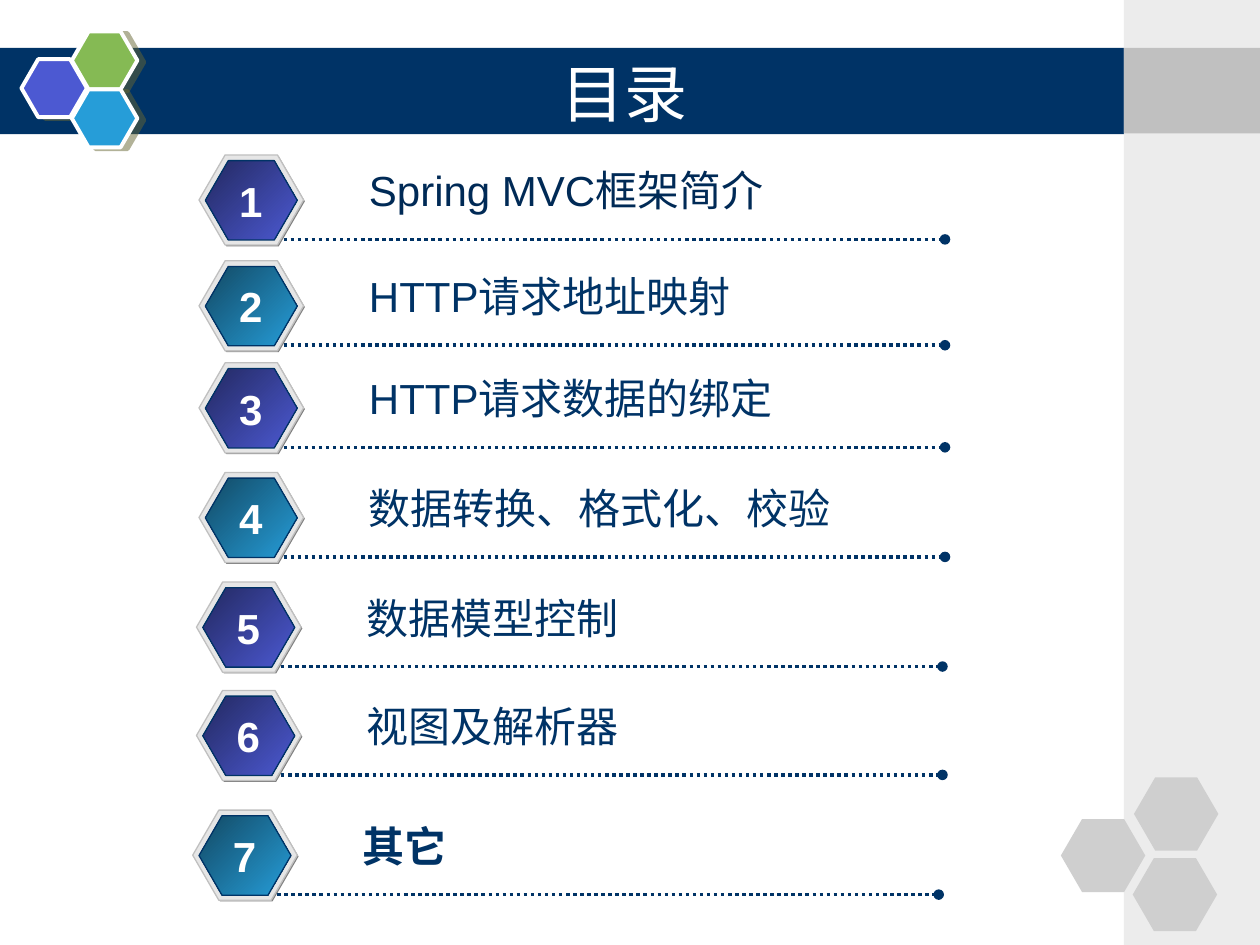
from collections import namedtuple

from lxml import etree
from pptx import Presentation
from pptx import util as u
from pptx.dml.color import RGBColor
from pptx.enum import dml, shapes, text
from pptx.oxml.ns import qn

COLORS = {
    "navy": "003366", "deep_navy": "002A56", "white": "FFFFFF",
    "violet": "4C59D2", "dark_violet": "232961",
    "blue": "269DD8", "dark_blue": "124964", "green": "85BA54",
    "olive": "666633", "panel": "ECECEC", "panel_band": "C0C0C0",
    "pale_hex": "CFCFCF", "rim": "E6E6E6", "rim_line": "C0C0C0",
    "rim_shade": "808080",
}
VIOLET = ("dark_violet", "violet")
BLUE = ("dark_blue", "blue")

# The slide is a grid of 100 columns by 75 rows of equal size
COLUMNS, ROWS = 100, 75
CELL = u.Inches(10) // COLUMNS

Box = namedtuple("Box", "left top width height")

# Column, row, wording, badge gradient, text colour, bold
ENTRIES = [
    (15.8, 12.3, "Spring MVC框架简介", VIOLET, "deep_navy", False),
    (15.8, 20.7, "HTTP请求地址映射", BLUE, "navy", False),
    (15.8, 28.8, "HTTP请求数据的绑定", VIOLET, "navy", False),
    (15.8, 37.5, "数据转换、格式化、校验", BLUE, "navy", False),
    (15.6, 46.2, "数据模型控制", VIOLET, "navy", False),
    (15.6, 54.8, "视图及解析器", VIOLET, "navy", False),
    (15.3, 64.3, "其它", BLUE, "navy", True),
]


def rgb(name):
    return RGBColor.from_string(COLORS[name])


def grid(*cells):
    return [u.Emu(round(cell * CELL)) for cell in cells]


def inside(box, left, top, width, height):
    return Box(box.left + left, box.top + top, width, height)


def add_block(slide, kind, box, fill, line=None, weight=0.75):
    block = slide.shapes.add_shape(kind, *grid(*box))
    block.shadow.inherit = False
    if isinstance(fill, tuple):
        block.fill.gradient()
        block.fill.gradient_angle = 315
        for stop, name in zip(block.fill.gradient_stops, fill):
            stop.color.rgb = rgb(name)
    else:
        block.fill.solid()
        block.fill.fore_color.rgb = rgb(fill)
    if line:
        block.line.color.rgb = rgb(line)
        block.line.width = u.Pt(weight)
    else:
        block.line.fill.background()
    return block


def add_hexagon(slide, box, fill, line=None, weight=0.75):
    hexagon = add_block(slide, shapes.MSO_SHAPE.HEXAGON, box, fill, line, weight)
    hexagon.adjustments[0] = 0.29
    hexagon.adjustments[1] = 1.155
    return hexagon


def add_label(slide, box, wording, color, size=24, font="Arial", bold=False,
              centred=False, wrap=True):
    frame = slide.shapes.add_textbox(*grid(*box)).text_frame
    frame.word_wrap = wrap
    frame.vertical_anchor = (text.MSO_ANCHOR.MIDDLE if centred
                             else text.MSO_ANCHOR.TOP)
    paragraph = frame.paragraphs[0]
    paragraph.text = wording
    paragraph.alignment = text.PP_ALIGN.CENTER if centred else text.PP_ALIGN.LEFT
    paragraph.font.name = font
    paragraph.font.size = u.Pt(size)
    paragraph.font.bold = bold
    paragraph.font.color.rgb = rgb(color)


def add_hard_shadow(shape):
    effects = shape._element.spPr.find(qn("a:effectLst"))
    shadow = etree.SubElement(effects, qn("a:outerShdw"), dist=str(u.Pt(4.1)),
                              dir=str(14 * 60000), algn="ctr", rotWithShape="0")
    color = etree.SubElement(shadow, qn("a:srgbClr"), val=COLORS["olive"])
    etree.SubElement(color, qn("a:alpha"), val="50000")


def add_title_band(slide, box):
    # Band with a slightly slanted right end
    right, bottom = box.left + box.width, box.top + box.height
    outline = slide.shapes.build_freeform(*grid(box.left, box.top))
    outline.add_line_segments([grid(right, box.top), grid(right - 0.1, bottom),
                               grid(box.left, bottom)])
    band = outline.convert_to_shape()
    band.shadow.inherit = False
    band.fill.solid()
    band.fill.fore_color.rgb = rgb("navy")
    band.line.fill.background()


def add_emblem(slide, box):
    for left, top, color in [(0, 2.2, "violet"), (4, 0, "green"), (4, 4.6, "blue")]:
        hexagon = add_hexagon(slide, inside(box, left, top, 5.2, 4.6),
                              color, "white", 2.25)
        add_hard_shadow(hexagon)


def add_side_panel(slide, box):
    rectangle = shapes.MSO_SHAPE.RECTANGLE
    add_block(slide, rectangle, box, "panel")
    add_block(slide, rectangle, inside(box, 0, 3.8, box.width, 6.8), "panel_band")
    for left, top in [(-5, 65), (0.8, 61.7), (0.7, 68.1)]:
        add_hexagon(slide, inside(box, left, top, 6.7, 5.8), "pale_hex")


def add_dotted_rule(slide, box):
    rule = slide.shapes.add_connector(
        shapes.MSO_CONNECTOR.STRAIGHT,
        *grid(box.left, box.top, box.left + box.width, box.top))
    rule.line.color.rgb = rgb("navy")
    rule.line.width = u.Pt(2)
    rule.line.dash_style = dml.MSO_LINE.ROUND_DOT
    etree.SubElement(rule.line._get_or_add_ln(), qn("a:tailEnd"), type="oval")
    etree.SubElement(rule._element.spPr, qn("a:effectLst"))


def add_entry(slide, box, number, wording, gradient, color, bold):
    # Bevelled badge: shade, rim and face
    add_hexagon(slide, inside(box, 0.1, 0.1, 8.3, 7.15), "rim_shade")
    add_hexagon(slide, inside(box, 0, 0, 8.3, 7.15), "rim", "rim_line")
    add_hexagon(slide, inside(box, 0.5, 0.45, 7.3, 6.3), gradient, "navy")
    # Rule, wording and number
    add_dotted_rule(slide, inside(box, 6.7, 6.7, 52.5, 0))
    add_label(slide, inside(box, 12.5, 0.3, 46.4, 5), wording, color, bold=bold)
    add_label(slide, inside(box, 2.2, 1.1, 3.8, 5), str(number), "white",
              bold=True, centred=True, wrap=False)


def main():
    deck = Presentation()
    deck.slide_width, deck.slide_height = grid(COLUMNS, ROWS)
    slide = deck.slides.add_slide(deck.slide_layouts[6])

    # Frame of the slide
    add_title_band(slide, Box(-0.3, 3.8, 89.7, 6.85))
    add_emblem(slide, Box(1.7, 2.5, 9.2, 9.2))
    add_side_panel(slide, Box(89.2, 0, 10.8, ROWS))
    add_label(slide, Box(12.5, 4.2, 74.2, 6.2), "目录", "white", size=36,
              font="DejaVu Sans", centred=True)

    # Contents
    for number, (column, row, *details) in enumerate(ENTRIES, 1):
        add_entry(slide, Box(column, row, 59.2, 7.2), number, *details)

    deck.save("out.pptx")


if __name__ == "__main__":
    main()
